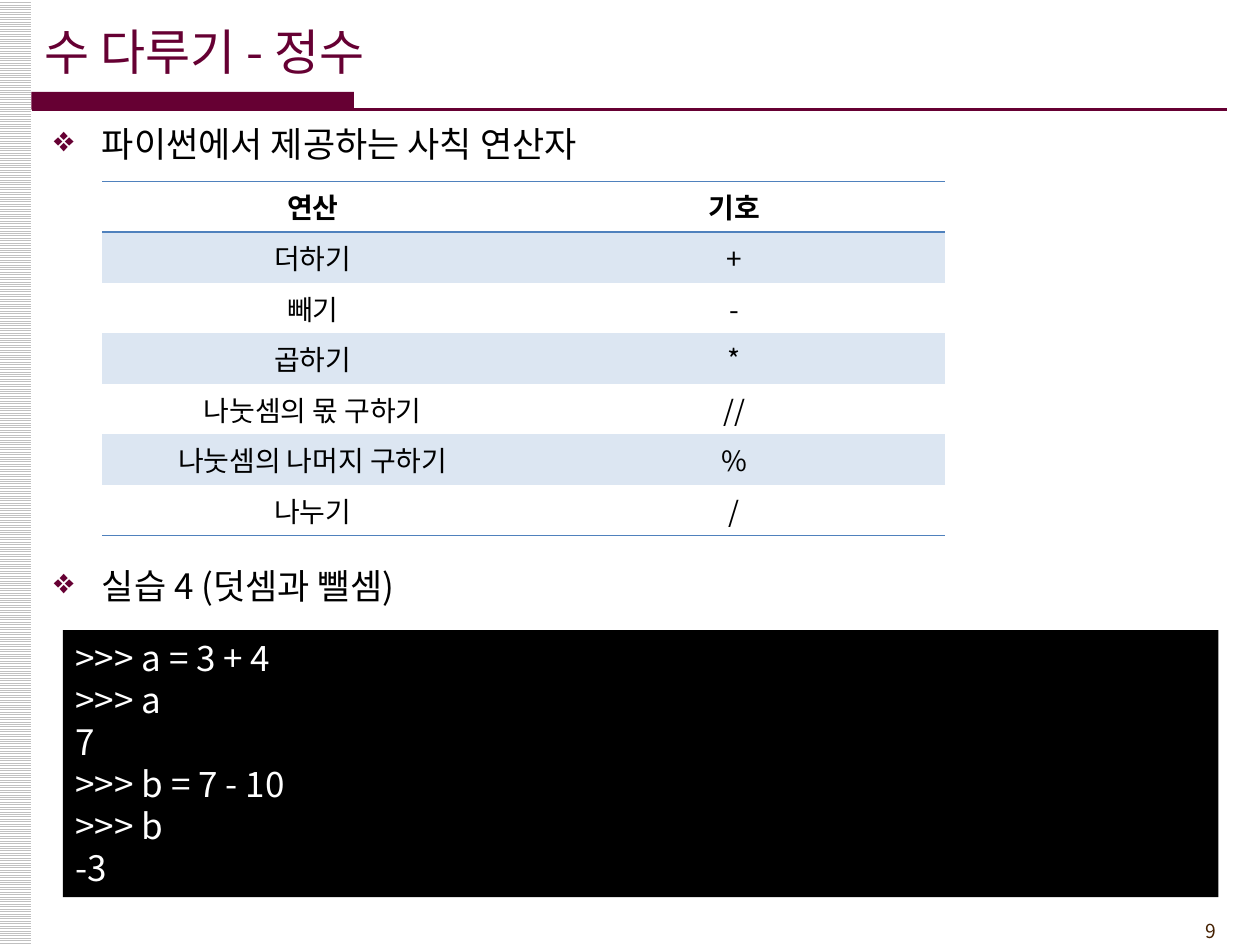
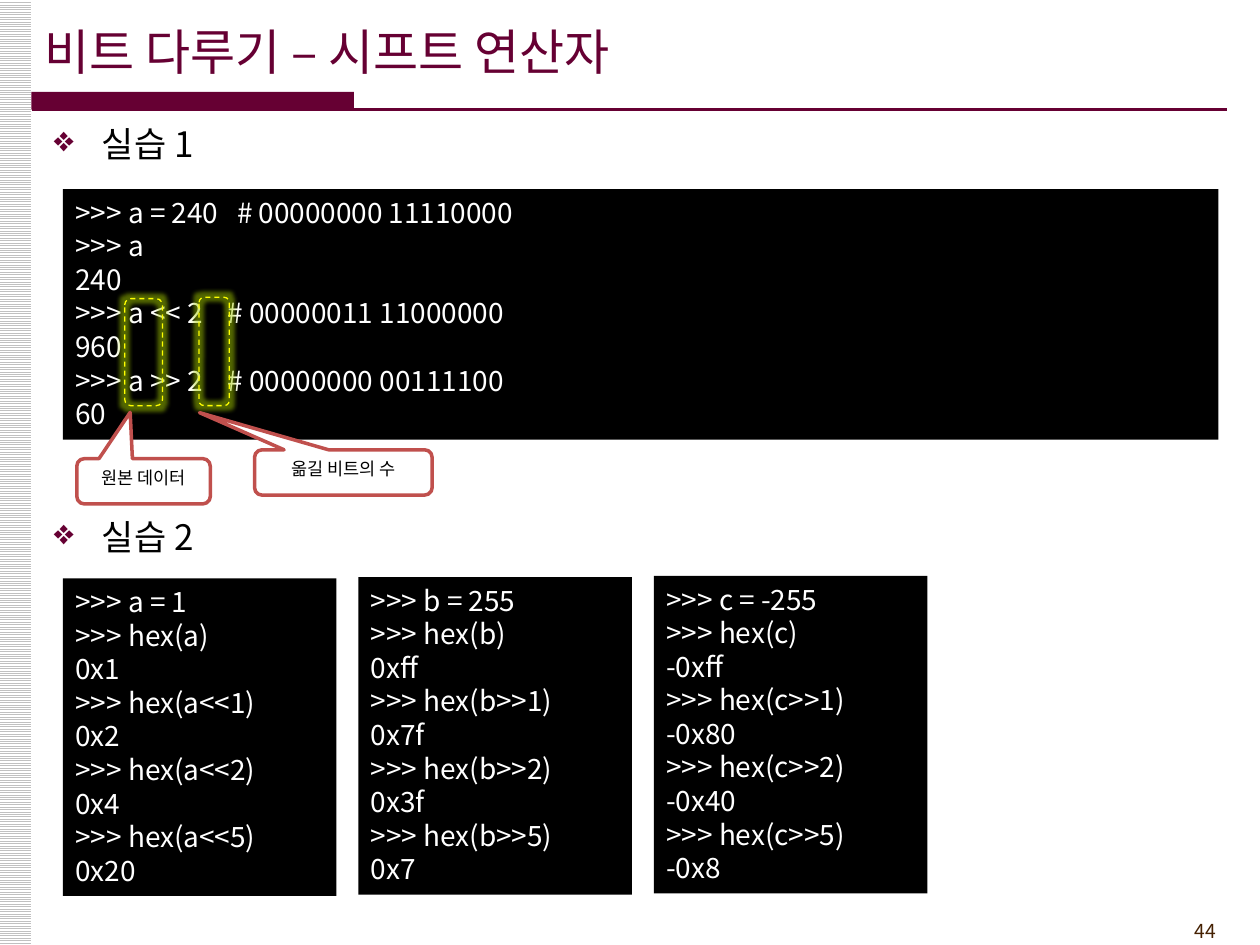
"""Build two lecture slides on Python integers and shift operators."""
from dataclasses import dataclass

from lxml.etree import SubElement
from pptx import Presentation
from pptx.dml.color import RGBColor
from pptx.enum.dml import MSO_LINE, MSO_PATTERN
from pptx.enum.shapes import MSO_CONNECTOR, MSO_SHAPE as Preset
from pptx.enum.text import MSO_ANCHOR as Anchor, PP_ALIGN as Align
from pptx.oxml.ns import qn
from pptx.shapes.autoshape import Shape
from pptx.slide import Slide
from pptx.table import _Cell as Cell
from pptx.text.text import TextFrame, _Paragraph as Paragraph
from pptx.util import Inches, Pt

FONT = "Noto Sans CJK KR"
WINE = RGBColor(0x66, 0x00, 0x33)
BROWN = RGBColor(0x45, 0x21, 0x03)
SILVER = RGBColor(0xC0, 0xC0, 0xC0)
BLACK = RGBColor(0, 0, 0)
WHITE = RGBColor(255, 255, 255)
YELLOW = RGBColor(255, 255, 0)
GLOW = RGBColor(0xA8, 0xD0, 0x00)
RED = RGBColor(0xC0, 0x50, 0x4D)
BLUE = RGBColor(0x4F, 0x81, 0xBD)
PALE_BLUE = RGBColor(0xDC, 0xE6, 0xF2)
PLAIN_TABLE = "{2D5ABB26-0587-4C30-8999-92F81FD0307C}"
LINE_FACTOR = 1.2

OPERATORS = [
    ("연산", "기호"),
    ("더하기", "+"),
    ("빼기", "-"),
    ("곱하기", "*"),
    ("나눗셈의 몫 구하기", "//"),
    ("나눗셈의 나머지 구하기", "%"),
    ("나누기", "/"),
]
ADDITION_CODE = """>>> a = 3 + 4
>>> a
7
>>> b = 7 - 10
>>> b
-3"""
SHIFT_CODE = """>>> a = 240   # 00000000 11110000
>>> a
240
>>> a << 2    # 00000011 11000000
960
>>> a >> 2    # 00000000 00111100
60"""
HEX_CODES = [
    """>>> a = 1
>>> hex(a)
0x1
>>> hex(a<<1)
0x2
>>> hex(a<<2)
0x4
>>> hex(a<<5)
0x20""",
    """>>> b = 255
>>> hex(b)
0xff
>>> hex(b>>1)
0x7f
>>> hex(b>>2)
0x3f
>>> hex(b>>5)
0x7""",
    """>>> c = -255
>>> hex(c)
-0xff
>>> hex(c>>1)
-0x80
>>> hex(c>>2)
-0x40
>>> hex(c>>5)
-0x8""",
]


@dataclass(frozen=True)
class Area:
    """A rectangle on the slide, in inches."""
    left: float
    top: float
    width: float
    height: float

    def lengths(self) -> tuple:
        """Return the four measures as lengths."""
        return tuple(map(Inches, (self.left, self.top, self.width, self.height)))


@dataclass(frozen=True)
class Console:
    """A black box of interpreter lines."""
    area: Area
    code: str
    size: int


@dataclass(frozen=True)
class Callout:
    """A rounded balloon whose tip points at a frame."""
    area: Area
    label: str
    tip: tuple[float, float]


CONSOLE_ADDITION = Console(Area(0.5, 5, 9.17, 2.12), ADDITION_CODE, 20)
CONSOLE_SHIFT = Console(Area(0.5, 1.5, 9.17, 1.99), SHIFT_CODE, 16)
CONSOLES_HEX = [
    Console(Area(0.5 + 2.345 * i, 4.59 - 0.01 * i, 2.17, 2.52), code, 16)
    for i, code in enumerate(HEX_CODES)
]
OPERAND_FRAMES = [Area(0.99, 2.37, 0.3, 0.85), Area(1.58, 2.36, 0.24, 0.86)]
CALLOUTS = [
    Callout(Area(0.61, 3.64, 1.06, 0.36), "원본 데이터", (-0.1, -1.52)),
    Callout(Area(2.02, 3.57, 1.41, 0.36), "옮길 비트의 수", (-0.81, -1.32)),
]


def write(para: Paragraph, text: str, size: int, color: RGBColor,
          align: Align = Align.LEFT, bold: bool = False) -> None:
    """Add one formatted run to a paragraph."""
    para.alignment = align
    span = para.add_run()
    span.text = text
    span.font.size = Pt(size)
    span.font.bold = bold
    span.font.color.rgb = color
    span.font.name = FONT
    SubElement(span._r.get_or_add_rPr(), qn("a:ea"), typeface=FONT)


def set_leading(para: Paragraph, size: int) -> None:
    """Give a paragraph a fixed line height."""
    para.line_spacing = Pt(size * LINE_FACTOR)


def add_text_box(slide: Slide, area: Area) -> TextFrame:
    """Add a wrapping text box and return its frame."""
    frame = slide.shapes.add_textbox(*area.lengths()).text_frame
    frame.word_wrap = True
    return frame


def add_preset(slide: Slide, kind: Preset, area: Area, fill: RGBColor | None) -> Shape:
    """Add a flat shape without outline."""
    shape = slide.shapes.add_shape(kind, *area.lengths())
    shape.shadow.inherit = False
    shape.line.fill.background()
    if fill is None:
        shape.fill.background()
    else:
        shape.fill.solid()
        shape.fill.fore_color.rgb = fill
    return shape


def add_page(deck: Presentation, title: str, number: int) -> Slide:
    """Add a slide with its side strip, title, rule and page number."""
    page = deck.slides.add_slide(deck.slide_layouts[5])
    strip = add_preset(page, Preset.RECTANGLE, Area(-0.01, 0, 0.26, 7.5), WHITE)
    strip.fill.patterned()
    strip.fill.pattern = MSO_PATTERN.LIGHT_HORIZONTAL
    strip.fill.fore_color.rgb = SILVER
    strip.fill.back_color.rgb = WHITE
    add_preset(page, Preset.RECTANGLE, Area(0.25, 0.73, 2.56, 0.14), WINE)
    rule = page.shapes.add_connector(
        MSO_CONNECTOR.STRAIGHT, Inches(0.25), Inches(0.87), Inches(9.74), Inches(0.87))
    rule.line.color.rgb = WINE
    rule.line.width = Pt(1.5)
    SubElement(rule._element.spPr, qn("a:effectLst"))

    heading = page.shapes.title
    heading.left, heading.top, heading.width, heading.height = Area(
        0.25, 0.09, 8.27, 0.63).lengths()
    heading.text_frame.vertical_anchor = Anchor.MIDDLE
    write(heading.text_frame.paragraphs[0], title, 28, WINE)
    footer = add_text_box(page, Area(8.92, 7.25, 0.83, 0.29))
    set_leading(footer.paragraphs[0], 11)
    write(footer.paragraphs[0], str(number), 11, BROWN, Align.RIGHT)
    return page


def add_topic(page: Slide, text: str, row: int) -> None:
    """Add a bulleted topic on a row of the body grid."""
    para = add_text_box(page, Area(0.33, 0.92 + 0.39 * row, 9.5, 0.43)).paragraphs[0]
    props = para._p.get_or_add_pPr()
    props.set("marL", str(Inches(0.38)))
    props.set("indent", str(-Inches(0.38)))
    bullet_color = SubElement(props, qn("a:buClr"))
    SubElement(bullet_color, qn("a:srgbClr"), val=str(WINE))
    SubElement(props, qn("a:buChar"), char="❖")
    set_leading(para, 20)
    write(para, text, 20, BLACK)


def add_console(page: Slide, console: Console) -> None:
    """Add a console box with one paragraph a line."""
    box = add_preset(page, Preset.RECTANGLE, console.area, BLACK)
    frame = box.text_frame
    frame.word_wrap = True
    frame.vertical_anchor = Anchor.TOP
    for i, line in enumerate(console.code.split("\n")):
        para = frame.add_paragraph() if i else frame.paragraphs[0]
        set_leading(para, console.size)
        write(para, line, console.size, WHITE)


def add_operand_frame(page: Slide, area: Area) -> None:
    """Add a dashed, glowing frame around operands."""
    frame = add_preset(page, Preset.ROUNDED_RECTANGLE, area, None)
    frame.line.color.rgb = YELLOW
    frame.line.width = Pt(0.75)
    frame.line.dash_style = MSO_LINE.DASH
    effects = frame._element.spPr.find(qn("a:effectLst"))
    glow = SubElement(effects, qn("a:glow"), rad=str(Pt(5)))
    color = SubElement(glow, qn("a:srgbClr"), val=str(GLOW))
    SubElement(color, qn("a:alpha"), val="50000")


def add_callout(page: Slide, callout: Callout) -> None:
    """Add a red-edged callout with its label."""
    balloon = add_preset(page, Preset.ROUNDED_RECTANGULAR_CALLOUT, callout.area, WHITE)
    balloon.adjustments[0], balloon.adjustments[1] = callout.tip
    balloon.line.color.rgb = RED
    balloon.line.width = Pt(2)
    balloon.text_frame.word_wrap = True
    balloon.text_frame.vertical_anchor = Anchor.TOP
    para = balloon.text_frame.paragraphs[0]
    set_leading(para, 10)
    write(para, callout.label, 10, BLACK, Align.CENTER)


def add_border(cell: Cell, side: str) -> None:
    """Draw one blue edge of a table cell."""
    edge = SubElement(cell._tc.get_or_add_tcPr(), qn(f"a:{side}"), w=str(Pt(1)))
    fill = SubElement(edge, qn("a:solidFill"))
    SubElement(fill, qn("a:srgbClr"), val=str(BLUE))


def add_operator_table(page: Slide) -> None:
    """Add the banded table of arithmetic operators."""
    holder = page.shapes.add_table(
        len(OPERATORS), 2, *Area(0.81, 1.44, 6.69, 2.81).lengths())
    table = holder.table
    table._tbl.tblPr.find(qn("a:tableStyleId")).text = PLAIN_TABLE
    for r, row in enumerate(OPERATORS):
        for c, text in enumerate(row):
            cell = table.cell(r, c)
            cell.margin_left = cell.margin_right = Inches(0.07)
            cell.margin_top = cell.margin_bottom = 0
            cell.vertical_anchor = Anchor.MIDDLE
            if r == 0:
                add_border(cell, "lnT")
            if r in (0, len(OPERATORS) - 1):
                add_border(cell, "lnB")
            if r % 2:
                cell.fill.solid()
                cell.fill.fore_color.rgb = PALE_BLUE
            else:
                cell.fill.background()
            write(cell.text_frame.paragraphs[0], text, 16, BLACK, Align.CENTER, r == 0)


def main() -> None:
    """Build and save the deck."""
    deck = Presentation()
    deck.slide_width, deck.slide_height = Inches(10), Inches(7.5)

    integers = add_page(deck, "수 다루기 - 정수", 9)
    add_topic(integers, "파이썬에서 제공하는 사칙 연산자", 0)
    add_operator_table(integers)
    add_topic(integers, "실습 4 (덧셈과 뺄셈)", 9)
    add_console(integers, CONSOLE_ADDITION)

    shifts = add_page(deck, "비트 다루기 – 시프트 연산자", 44)
    add_topic(shifts, "실습 1", 0)
    add_topic(shifts, "실습 2", 8)
    for console in (CONSOLE_SHIFT, *CONSOLES_HEX):
        add_console(shifts, console)
    for area in OPERAND_FRAMES:
        add_operand_frame(shifts, area)
    for callout in CALLOUTS:
        add_callout(shifts, callout)

    deck.save("out.pptx")


if __name__ == "__main__":
    main()
